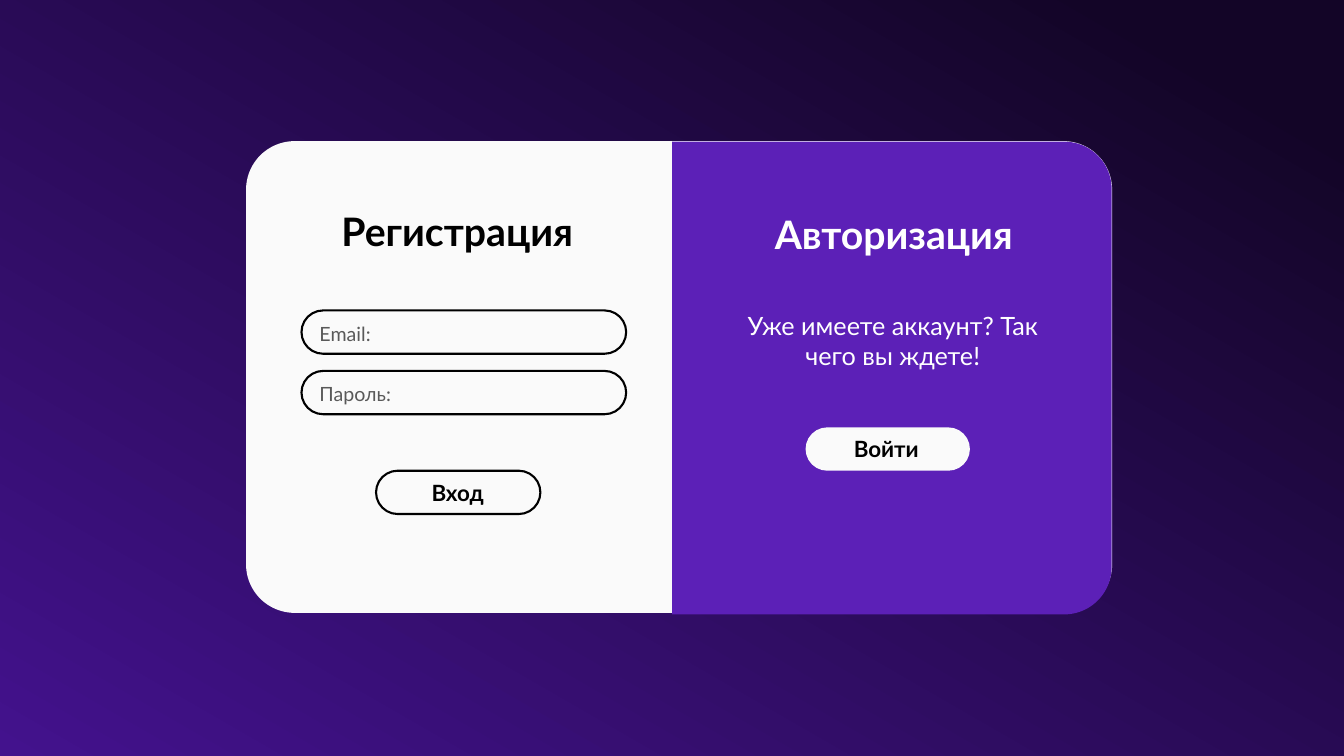
from dataclasses import dataclass

from pptx import Presentation
from pptx.dml.color import RGBColor
from pptx.enum.shapes import MSO_SHAPE
from pptx.enum.text import MSO_AUTO_SIZE, PP_ALIGN
from pptx.util import Inches, Pt


@dataclass(frozen=True)
class Theme:
    font: str = "Lato"
    black: str = "000000"
    white: str = "FFFFFF"
    paper: str = "FAFAFA"
    hint: str = "595959"
    purple: str = "5C20B7"
    glow: str = "43128D"
    night: str = "130527"
    title_size: int = 28
    body_size: int = 18
    button_size: int = 16
    hint_size: int = 14
    outline: float = 1.5


class FormSlide:
    def __init__(self, presentation, theme):
        self.theme = theme
        self.slide = presentation.slides.add_slide(presentation.slide_layouts[6])

    def background(self):
        fill = self.slide.background.fill
        fill.gradient()
        fill.gradient_angle = 60
        stops = ((0, self.theme.glow), (0.91, self.theme.night))
        for stop, (position, color) in zip(fill.gradient_stops, stops):
            stop.position = position
            stop.color.rgb = RGBColor.from_string(color)

    def text(self, content, left, top, width, height, *, size, color,
             bold=False, align=PP_ALIGN.CENTER):
        box = self.slide.shapes.add_textbox(
            Inches(left), Inches(top), Inches(width), Inches(height))
        frame = box.text_frame
        frame.word_wrap = True
        frame.auto_size = MSO_AUTO_SIZE.SHAPE_TO_FIT_TEXT
        paragraph = frame.paragraphs[0]
        paragraph.alignment = align
        run = paragraph.add_run()
        run.text = content
        run.font.name = self.theme.font
        run.font.size = Pt(size)
        run.font.bold = bold
        run.font.color.rgb = RGBColor.from_string(color)
        return box

    def panel(self, kind, left, top, width, height, *, fill, corners,
              outlined=False, rotation=0):
        shape = self.slide.shapes.add_shape(
            kind, Inches(left), Inches(top), Inches(width), Inches(height))
        for index, corner in enumerate(corners):
            shape.adjustments[index] = corner
        shape.rotation = rotation
        shape.shadow.inherit = False
        shape.fill.solid()
        shape.fill.fore_color.rgb = RGBColor.from_string(fill)
        if outlined:
            shape.line.color.rgb = RGBColor.from_string(self.theme.black)
            shape.line.width = Pt(self.theme.outline)
        else:
            shape.line.fill.background()
        return shape

    def pill(self, left, top, width, outlined):
        return self.panel(MSO_SHAPE.ROUNDED_RECTANGLE, left, top, width, 0.43,
                          fill=self.theme.paper, corners=[0.5], outlined=outlined)

    def title(self, content, left, top, color):
        self.text(content, left, top, 2.65, 0.57, color=color,
                  size=self.theme.title_size, bold=True)

    def field(self, label, left, top, label_width):
        pill = self.pill(left, top, 3.22, outlined=True)
        hint = self.text(label, left + 0.08, top + 0.06, label_width, 0.34,
                         size=self.theme.hint_size, color=self.theme.hint,
                         align=PP_ALIGN.LEFT)
        self.slide.shapes.add_group_shape([pill, hint])

    def button(self, label, left, top, outlined, label_left, label_width):
        pill = self.pill(left, top, 1.63, outlined)
        caption = self.text(label, label_left, top + 0.03, label_width, 0.37,
                            size=self.theme.button_size, color=self.theme.black,
                            bold=True)
        self.slide.shapes.add_group_shape([pill, caption])


def main():
    presentation = Presentation()
    presentation.slide_width = Inches(13.33)
    presentation.slide_height = Inches(7.5)
    theme = Theme()
    form = FormSlide(presentation, theme)

    form.background()
    form.panel(MSO_SHAPE.ROUNDED_RECTANGLE, 2.44, 1.4, 8.59, 4.68,
               fill=theme.paper, corners=[0.103])
    form.panel(MSO_SHAPE.ROUND_2_SAME_RECTANGLE, 6.5, 1.57, 4.69, 4.36,
               fill=theme.purple, corners=[0.108, 0], rotation=90)

    form.title("Регистрация", 3.21, 2.01, theme.black)
    form.text("Уже имеете аккаунт? Так чего вы ждете!", 7.29, 3.03, 3.13, 0.71,
              size=theme.body_size, color=theme.white)
    form.title("Авторизация", 7.54, 2.04, theme.white)

    fields = (("Email:", 0.91), ("Пароль:", 1.1))
    for row, (label, label_width) in enumerate(fields):
        form.field(label, 2.99, 3.08 + row * 0.6, label_width)

    form.button("Войти", 7.99, 4.24, False, 8.01, 1.56)
    form.button("Вход", 3.73, 4.67, True, 3.84, 1.4)

    presentation.save("out.pptx")


if __name__ == "__main__":
    main()
